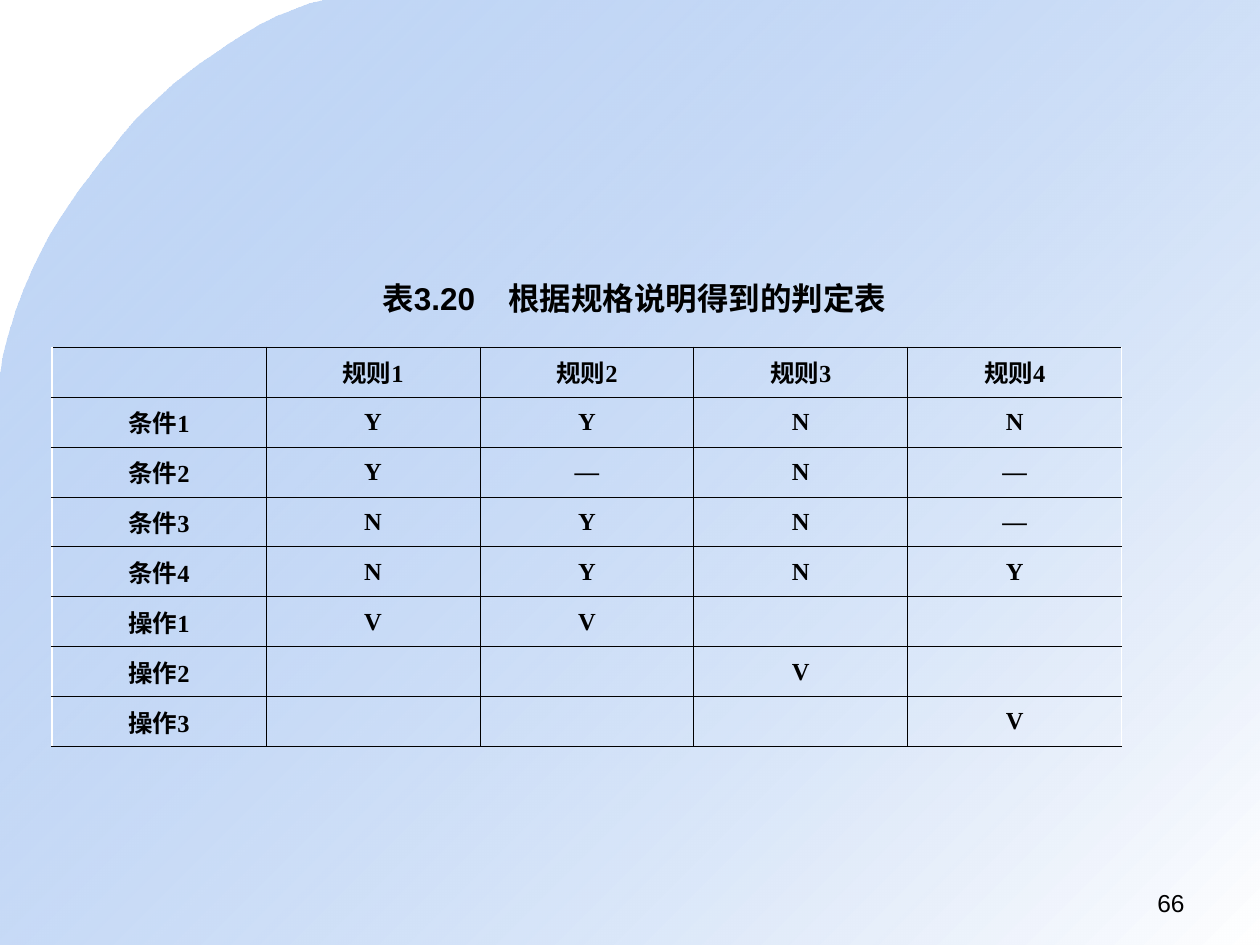
"""Build the decision table slide derived from a specification."""
from dataclasses import dataclass

from lxml.etree import SubElement
from pptx import Presentation
from pptx.dml.color import RGBColor
from pptx.enum.text import MSO_ANCHOR as Anchor, PP_ALIGN as Align
from pptx.oxml import parse_xml
from pptx.oxml.ns import nsdecls, qn
from pptx.slide import Slide
from pptx.table import _Cell as Cell
from pptx.text.text import _Paragraph as Paragraph
from pptx.util import Emu, Pt

PX = 914400 / 126
WIDTH, HEIGHT = 1260, 945
BLACK = RGBColor(0x00, 0x00, 0x00)
WHITE = RGBColor(0xFF, 0xFF, 0xFF)
SKY = RGBColor(0x69, 0x9D, 0xE9)
SKY_ALPHA = 39
BORDER_WIDTH = Pt(0.45)
COLUMN_WIDTH, ROW_HEIGHT = 214, 50
CURVE_STEPS = 16

DECISIONS = [
    ["", "规则1", "规则2", "规则3", "规则4"],
    ["条件1", "Y", "Y", "N", "N"],
    ["条件2", "Y", "—", "N", "—"],
    ["条件3", "N", "Y", "N", "—"],
    ["条件4", "N", "Y", "N", "Y"],
    ["操作1", "V", "V", "", ""],
    ["操作2", "", "", "V", ""],
    ["操作3", "", "", "", "V"],
]


@dataclass(frozen=True)
class Label:
    text: str
    left: int
    top: int
    width: int
    height: int
    size: int
    bold: bool
    align: Align
    wrap: bool


@dataclass(frozen=True)
class Curve:
    start: tuple[int, int]
    leave: tuple[int, int]
    arrive: tuple[int, int]
    end: tuple[int, int]

    def points(self) -> list[tuple[float, float]]:
        steps = [step / CURVE_STEPS for step in range(1, CURVE_STEPS + 1)]
        return [
            tuple(
                (1 - t) ** 3 * a + 3 * (1 - t) ** 2 * t * b + 3 * (1 - t) * t**2 * c + t**3 * d
                for a, b, c, d in zip(self.start, self.leave, self.arrive, self.end)
            )
            for t in steps
        ]


CORNER = [
    Curve((325, 0), (239, 20), (146, 105), (123, 135)),
    Curve((123, 135), (101, 166), (20, 244), (0, 379)),
]
LABELS = [
    Label("表3.20\t根据规格说明得到的判定表", 370, 273, 529, 50, 18, True, Align.LEFT, False),
    Label("66", 903, 882, 294, 44, 14, False, Align.RIGHT, True),
]


def px(length: int) -> Emu:
    return Emu(round(length * PX))


def style(paragraph: Paragraph, name: str, size: int, bold: bool, align: Align) -> None:
    paragraph.alignment = align
    font = paragraph.font
    font.name, font.size, font.bold = name, Pt(size), bold
    font.color.rgb = BLACK


def draw_backdrop(slide: Slide) -> None:
    builder = slide.shapes.build_freeform(*CORNER[0].start, scale=PX)
    for curve in CORNER:
        builder.add_line_segments(curve.points(), close=False)
    builder.add_line_segments([(0, HEIGHT), (WIDTH, HEIGHT), (WIDTH, 0)], close=True)
    shape = builder.convert_to_shape()
    shape.shadow.inherit = False
    shape.line.fill.background()
    shape.fill.gradient()
    shape.fill.gradient_angle = 315
    for stop, color, position in zip(shape.fill.gradient_stops, (SKY, WHITE), (0, 1)):
        stop.color.rgb = color
        stop.position = position
    sky = shape._element.spPr.find(".//" + qn("a:srgbClr"))
    SubElement(sky, qn("a:alpha"), val=str(SKY_ALPHA * 1000))


def draw_borders(cell: Cell, sides: list[str]) -> None:
    properties = cell._tc.get_or_add_tcPr()
    for index, side in enumerate(sides):
        properties.insert(index, parse_xml(
            f'<a:ln{side} {nsdecls("a")} w="{BORDER_WIDTH}"><a:solidFill>'
            f'<a:srgbClr val="{BLACK}"/></a:solidFill></a:ln{side}>'
        ))


def draw_table(slide: Slide, left: int, top: int) -> None:
    rows, columns = len(DECISIONS), len(DECISIONS[0])
    table = slide.shapes.add_table(
        rows, columns, px(left), px(top), px(columns * COLUMN_WIDTH), px(rows * ROW_HEIGHT)
    ).table
    table.first_row = table.horz_banding = False
    for column in table.columns:
        column.width = px(COLUMN_WIDTH)
    for row_index, entries in enumerate(DECISIONS):
        table.rows[row_index].height = px(ROW_HEIGHT)
        for column_index, entry in enumerate(entries):
            cell = table.cell(row_index, column_index)
            cell.text = entry
            cell.vertical_anchor = Anchor.MIDDLE
            cell.margin_left = cell.margin_right = px(10)
            cell.fill.background()
            paragraph = cell.text_frame.paragraphs[0]
            style(paragraph, "Times New Roman", 14, True, Align.CENTER)
            paragraph.space_before = paragraph.space_after = Pt(1 if row_index else 1.2)
            inner = ["L"] * (column_index > 0) + ["R"] * (column_index < columns - 1)
            draw_borders(cell, inner + ["T", "B"])


def draw_label(slide: Slide, label: Label) -> None:
    box = slide.shapes.add_textbox(*map(px, (label.left, label.top, label.width, label.height)))
    box.text_frame.word_wrap = label.wrap
    paragraph = box.text_frame.paragraphs[0]
    paragraph.add_run().text = label.text
    style(paragraph, "Arial", label.size, label.bold, label.align)
    if "\t" in label.text:
        tabs = parse_xml(f'<a:tabLst {nsdecls("a")}><a:tab pos="{px(126)}" algn="l"/></a:tabLst>')
        paragraph._p.pPr.find(qn("a:defRPr")).addprevious(tabs)


def main() -> None:
    presentation = Presentation()
    presentation.slide_width, presentation.slide_height = px(WIDTH), px(HEIGHT)
    slide = presentation.slides.add_slide(presentation.slide_layouts[6])
    draw_backdrop(slide)
    draw_table(slide, 52, 347)
    for label in LABELS:
        draw_label(slide, label)
    presentation.save("out.pptx")


if __name__ == "__main__":
    main()
